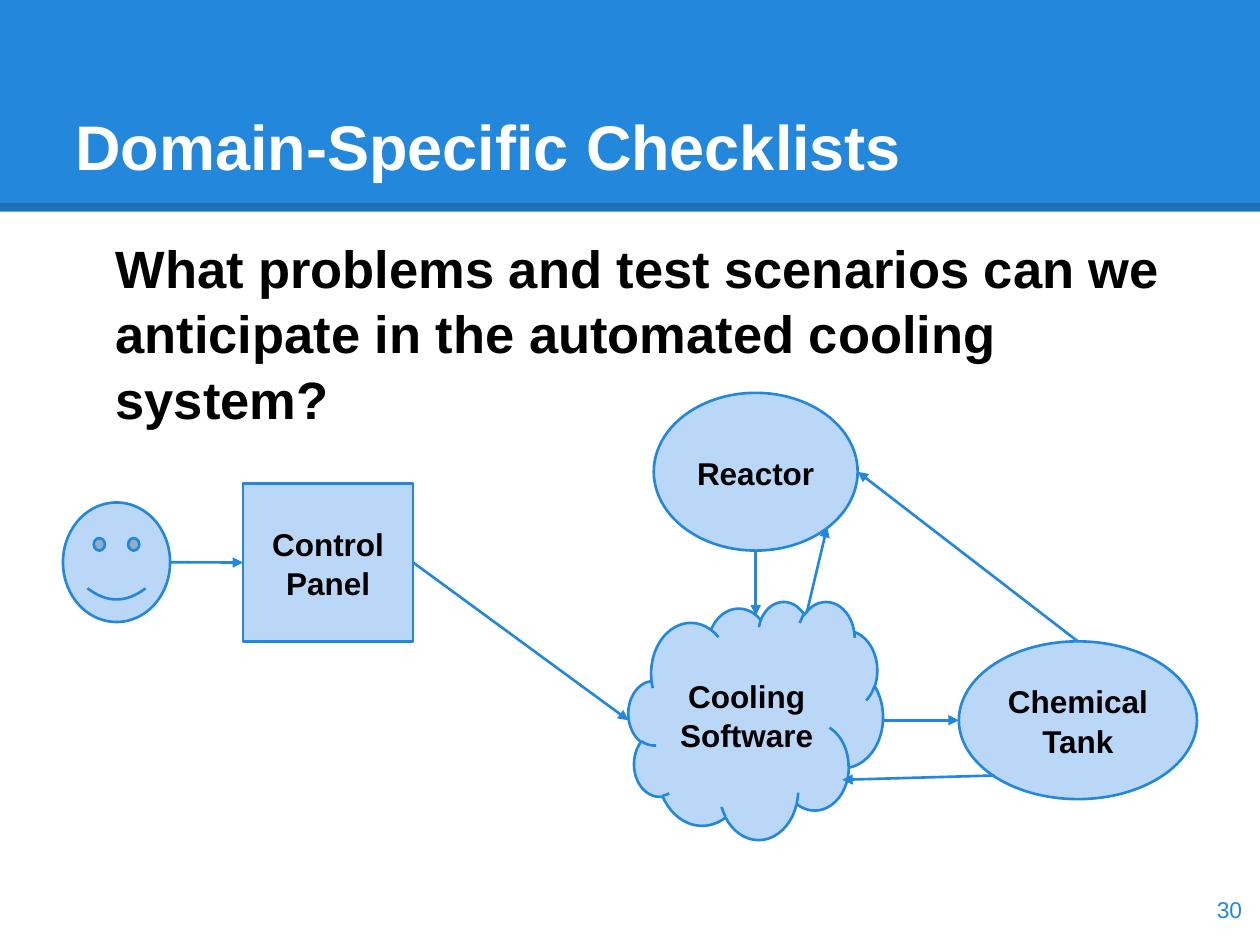
from lxml import etree
from pptx import Presentation
from pptx import util as u
from pptx.dml.color import RGBColor
from pptx.enum import shapes, text
from pptx.oxml import ns

COLORS = {"blue": "2388DB", "pale": "BBD7F8", "black": "000000", "white": "FFFFFF"}
SHAPE = shapes.MSO_SHAPE
ALIGN = text.PP_ALIGN
ANCHOR = text.MSO_ANCHOR

# Name: preset shape, label, box (left, top, width, height in cm, within the diagram)
NODES = {
    "panel": (SHAPE.RECTANGLE, "Control Panel", (3.63, 1.83, 3.43, 3.18)),
    "user": (SHAPE.SMILEY_FACE, "", (0, 2.21, 2.16, 2.41)),
    "software": (SHAPE.CLOUD, "Cooling Software", (11.4, 4.2, 5.13, 4.8)),
    "reactor": (SHAPE.OVAL, "Reactor", (11.91, 0, 4.11, 3.18)),
    "tank": (SHAPE.OVAL, "Chemical Tank", (18.06, 5.01, 4.8, 3.18)),
}

# Each end: node and the fraction of its width and height
LINKS = [
    (("user", 1, 0.5), ("panel", 0, 0.5)),
    (("software", 1, 0.5), ("tank", 0, 0.5)),
    (("tank", 0.15, 0.85), ("software", 0.84, 0.75)),
    (("reactor", 0.5, 1), ("software", 0.5, 0.06)),
    (("tank", 0.5, 0), ("reactor", 1, 0.5)),
    (("panel", 1, 0.5), ("software", 0, 0.5)),
    (("software", 0.7, 0.05), ("reactor", 0.85, 0.85)),
]


def rgb(name):
    return RGBColor.from_string(COLORS[name])


def lengths(box):
    return [u.Cm(value) for value in box]


def write(shape, words, size, color, bold=True, align=ALIGN.LEFT,
          anchor=ANCHOR.TOP, spacing=None):
    frame = shape.text_frame
    inset = u.Cm(0.25)
    frame_format = {"word_wrap": True, "auto_size": text.MSO_AUTO_SIZE.NONE,
                    "vertical_anchor": anchor, "margin_left": inset,
                    "margin_right": inset, "margin_top": inset, "margin_bottom": inset}
    for name, value in frame_format.items():
        setattr(frame, name, value)
    para = frame.paragraphs[0]
    para.alignment = align
    para.line_spacing = spacing
    span = para.add_run()
    span.text = words
    for name, value in {"name": "Arial", "size": u.Pt(size), "bold": bold}.items():
        setattr(span.font, name, value)
    span.font.color.rgb = rgb(color)


def add_line(page, start, end, color, width):
    line = page.shapes.add_connector(
        shapes.MSO_CONNECTOR.STRAIGHT, *lengths(start), *lengths(end))
    line.line.color.rgb = rgb(color)
    line.line.width = u.Pt(width)
    etree.SubElement(line._element.spPr, ns.qn("a:effectLst"))
    return line


def add_header(page, box):
    left, top, width, height = box
    band = page.shapes.add_shape(SHAPE.RECTANGLE, *lengths(box))
    band.shadow.inherit = False
    band.fill.solid()
    band.fill.fore_color.rgb = rgb("blue")
    band.line.fill.background()

    # Translucent rule along the lower edge
    rule_y = top + height - 0.1
    rule = add_line(page, (left, rule_y), (left + width, rule_y), "black", 4.5)
    tint = next(rule.line._ln.iter(ns.qn("a:srgbClr")))
    etree.SubElement(tint, ns.qn("a:alpha"), val="15000")

    # Title, brought in front of the band
    title = page.shapes.title
    title.left, title.top, title.width, title.height = lengths(
        (left + 1.27, top + 0.76, width - 2.54, 3.18))
    write(title, "Domain-Specific Checklists", 36, "white", anchor=ANCHOR.BOTTOM)
    rule._element.addnext(title._element)


def add_text(page, box, words, size, color, **options):
    write(page.shapes.add_textbox(*lengths(box)), words, size, color, **options)


def add_diagram(page, box):
    left, top = box[:2]

    # Parts of the cooling system
    for kind, label, (x, y, width, height) in NODES.values():
        node = page.shapes.add_shape(kind, *lengths((left + x, top + y, width, height)))
        node.shadow.inherit = False
        node.fill.solid()
        node.fill.fore_color.rgb = rgb("pale")
        node.line.color.rgb = rgb("blue")
        node.line.width = u.Pt(1.5)
        if label:
            write(node, label, 18, "black", align=ALIGN.CENTER,
                  anchor=ANCHOR.MIDDLE, spacing=1.04)

    def point(name, across, down):
        x, y, width, height = NODES[name][2]
        return left + x + across * width, top + y + down * height

    # Arrows between them
    for start, end in LINKS:
        arrow = add_line(page, point(*start), point(*end), "blue", 1.5)
        etree.SubElement(arrow.line._ln, ns.qn("a:tailEnd"), type="triangle")


def main():
    deck = Presentation()
    deck.slide_width, deck.slide_height = u.Cm(25.4), u.Cm(19.05)
    page = deck.slides.add_slide(deck.slide_layouts[5])
    add_header(page, (0, 0, 25.4, 4.27))
    add_text(page, (2.08, 4.45, 22.05, 13.79),
             "What problems and test scenarios can we anticipate in the "
             "automated cooling system?", 30, "black", spacing=1.04)
    add_diagram(page, (1.27, 7.92, 22.86, 9))
    add_text(page, (23.77, 17.6, 1.52, 1.45), "30", 13, "blue", bold=False,
             align=ALIGN.RIGHT, anchor=ANCHOR.MIDDLE)
    deck.save("out.pptx")


if __name__ == "__main__":
    main()
